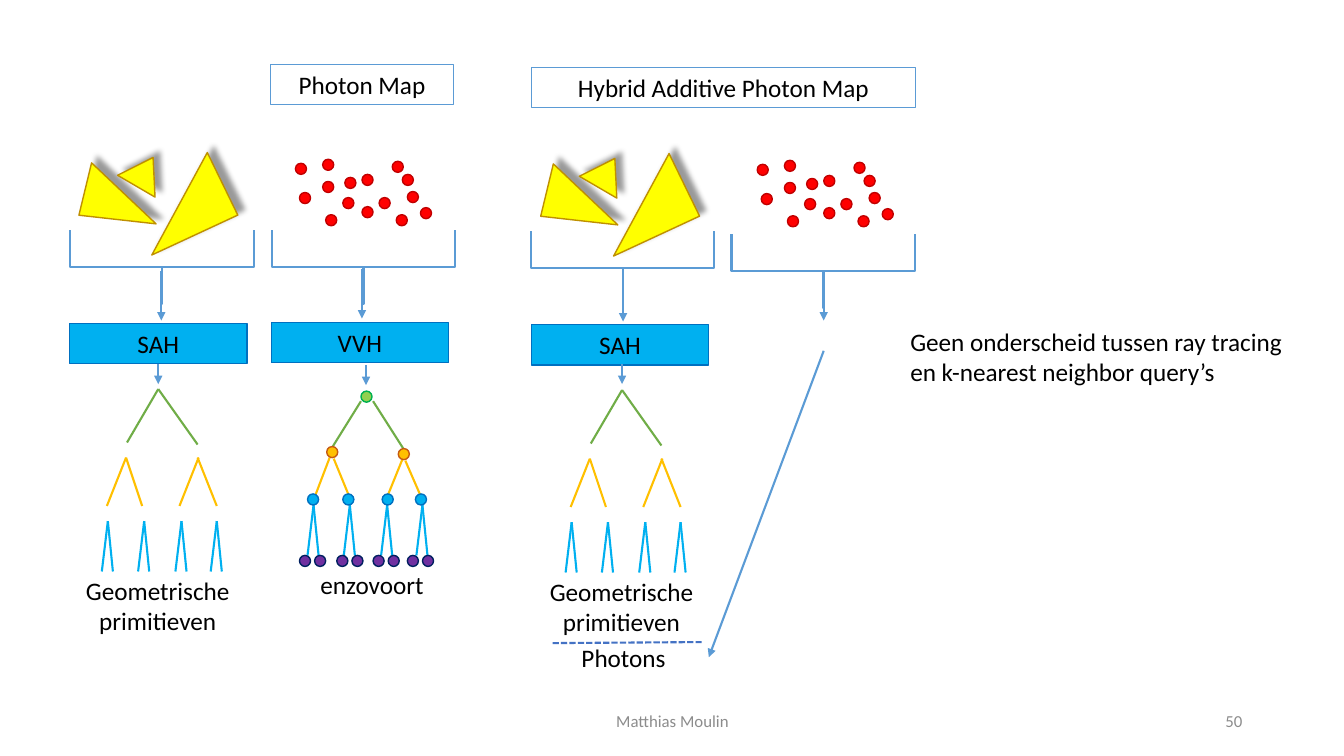
from dataclasses import dataclass
from typing import Iterable, NamedTuple

from lxml.etree import SubElement
from pptx import Presentation
from pptx.dml.color import RGBColor as Rgb
from pptx.enum.dml import MSO_LINE_DASH_STYLE as Dash
from pptx.enum.shapes import MSO_CONNECTOR as Connector, MSO_SHAPE as Preset
from pptx.enum.text import MSO_ANCHOR as Anchor, MSO_AUTO_SIZE as AutoSize, PP_ALIGN as Align
from pptx.oxml.ns import qn
from pptx.util import Emu, Pt

PX = 9144  # EMU per px, 100 px to the inch
FONT = "Calibri"
COLORS = {
    "black": "000000", "white": "FFFFFF", "grey": "8C8C8C",
    "blue": "5B9BD5", "dash": "4472C4", "sky": "00B0F0", "deep": "0070C0",
    "yellow": "FFFF00", "ochre": "BF9000", "red": "FF0000", "crimson": "C00000",
    "lime": "92D050", "emerald": "00B050", "green": "70AD47",
    "gold": "FFC000", "rust": "C55A11", "purple": "7030A0", "navy": "002060",
}
DOT = 11
HYBRID_DX, HYBRID_DY = 458, 1
HYBRID_TREE_DX = 460


class Box(NamedTuple):
    x: int
    y: int
    w: int
    h: int

    def moved(self, dx: int, dy: int) -> "Box":
        return Box(self.x + dx, self.y + dy, self.w, self.h)


class Edge(NamedTuple):
    x1: int
    y1: int
    x2: int
    y2: int

    def moved(self, dx: int, dy: int) -> "Edge":
        return Edge(self.x1 + dx, self.y1 + dy, self.x2 + dx, self.y2 + dy)


@dataclass(frozen=True)
class Primitive:
    box: Box
    rotation: float
    apex: float


@dataclass(frozen=True)
class NodeRow:
    fill: str
    line: str
    y: int
    lefts: tuple[int, ...]


PRIMITIVES = (
    Primitive(Box(81, 165, 77, 53), 6.4, 0.087),
    Primitive(Box(144, 156, 69, 94), 244, 0.026),
    Primitive(Box(122, 154, 43, 33), 30.2, 0.5),
)
PHOTONS = (
    (320, 180), (342, 176), (359, 173), (359, 205), (376, 196),
    (297, 191), (393, 213), (389, 160), (323, 213), (417, 206),
    (293, 162), (399, 173), (320, 158), (404, 190), (340, 196),
)
LEAF_TOPS = (107, 143, 180, 215)
SAH_ROOT = (Edge(157, 386, 126, 439), Edge(157, 386, 196, 441))
SAH_BRANCHES = (
    Edge(125, 454, 106, 502), Edge(125, 454, 141, 502),
    Edge(197, 454, 178, 502), Edge(196, 454, 215, 502),
)
VVH_ROOT = (Edge(358, 398, 330, 443), Edge(370, 398, 400, 445))
VVH_BRANCHES = (
    Edge(327, 454, 311, 496), Edge(331, 455, 347, 494),
    Edge(399, 456, 382, 498), Edge(402, 457, 419, 496),
)
VVH_NODES = (
    NodeRow("lime", "emerald", 388, (358,)),
    NodeRow("gold", "rust", 443, (324,)),
    NodeRow("gold", "rust", 445, (395,)),
    NodeRow("sky", "deep", 490, (305, 340, 379, 412)),
    NodeRow("purple", "navy", 551, (297, 312, 334, 349, 370, 385, 404, 419)),
)
BRACES = (Box(124, 174, 73, 182), Box(324, 174, 73, 182),
          Box(581, 175, 73, 182), Box(780, 178, 73, 182))
ARROWS = (
    Edge(160, 269, 160, 318), Edge(359, 267, 359, 316),
    Edge(618, 270, 618, 319), Edge(817, 269, 817, 318),
    Edge(157, 361, 157, 381), Edge(363, 362, 363, 382),
    Edge(617, 361, 617, 381), Edge(817, 348, 703, 652),
)

deck = Presentation()
deck.slide_width, deck.slide_height = Emu(1333 * PX), Emu(750 * PX)
page = deck.slides.add_slide(deck.slide_layouts[6])


def color(name: str) -> Rgb:
    return Rgb.from_string(COLORS[name])


def add_preset(preset: Preset, box: Box, line: str, fill: str | None = None, width: float = 1):
    shape = page.shapes.add_shape(preset, *(Emu(n * PX) for n in box))
    if fill:
        shape.fill.solid()
        shape.fill.fore_color.rgb = color(fill)
    else:
        shape.fill.background()
    shape.line.color.rgb = color(line)
    shape.line.width = Pt(width)
    shape.shadow.inherit = False
    return shape


def add_text(text: str, box: Box, *, fill: str | None = None, line: str | None = None,
             size: int = 18, ink: str = "black", align: Align = Align.CENTER,
             anchor: Anchor = Anchor.TOP, grow: bool = True) -> None:
    if line:
        shape = add_preset(Preset.RECTANGLE, box, line, fill)
    else:
        shape = page.shapes.add_textbox(*(Emu(n * PX) for n in box))
    frame = shape.text_frame
    frame.word_wrap = True
    frame.auto_size = AutoSize.SHAPE_TO_FIT_TEXT if grow else AutoSize.NONE
    frame.vertical_anchor = anchor
    para = frame.paragraphs[0]
    para.alignment = align
    span = para.add_run()
    span.text = text
    span.font.name, span.font.size = FONT, Pt(size)
    span.font.color.rgb = color(ink)


def add_line(edge: Edge, ink: str, arrow: bool = False, dash: Dash | None = None) -> None:
    link = page.shapes.add_connector(Connector.STRAIGHT, *(Emu(n * PX) for n in edge))
    link.line.color.rgb = color(ink)
    link.line.width = Pt(1.5)
    if dash:
        link.line.dash_style = dash
    props = link.element.spPr
    if arrow:
        SubElement(props.find(qn("a:ln")), qn("a:tailEnd"), type="triangle")
    SubElement(props, qn("a:effectLst"))


def add_lines(edges: Iterable[Edge], ink: str, dx: int = 0, dy: int = 0) -> None:
    for edge in edges:
        add_line(edge.moved(dx, dy), ink)


def add_leaves(dx: int, dy: int) -> None:
    for top in LEAF_TOPS:
        fan = (Edge(top, 517, top - 6, 567), Edge(top, 517, top + 5, 567))
        add_lines(fan, "sky", dx, dy)


def add_primitive(item: Primitive, dx: int, dy: int) -> None:
    shape = add_preset(Preset.ISOSCELES_TRIANGLE, item.box.moved(dx, dy), "ochre", "yellow")
    shape.rotation = item.rotation
    shape.adjustments[0] = item.apex
    effects = shape.element.spPr.find(qn("a:effectLst"))
    shadow = SubElement(effects, qn("a:outerShdw"), blurRad=str(Pt(4)), dist=str(Pt(6)),
                        dir=str(315 * 60000), algn="bl", rotWithShape="0")
    tint = SubElement(shadow, qn("a:srgbClr"), val=COLORS["black"])
    SubElement(tint, qn("a:alpha"), val="40000")


# Scenes: primitives and photons, then the tree over the primitives
for dx, dy, tree_dx in ((0, 0, 0), (HYBRID_DX, HYBRID_DY, HYBRID_TREE_DX)):
    for item in PRIMITIVES:
        add_primitive(item, dx, dy)
    for x, y in PHOTONS:
        add_preset(Preset.OVAL, Box(x + dx, y + dy, DOT, DOT), "crimson", "red")
    add_text("SAH", Box(69 + dx, 321 + dy, 176, 40), fill="sky", line="deep")
    add_lines(SAH_ROOT, "green", tree_dx, dy)
    add_lines(SAH_BRANCHES, "gold", tree_dx, dy)
    add_leaves(tree_dx, dy)
    add_text("Geometrische primitieven", Box(40 + tree_dx, 566 + dy, 233, 71))

# Photon tree
add_text("VVH", Box(269, 320, 176, 40), fill="sky", line="deep")
add_lines(VVH_ROOT, "green")
add_lines(VVH_BRANCHES, "gold")
add_leaves(204, -16)
for row in VVH_NODES:
    for left in row.lefts:
        add_preset(Preset.OVAL, Box(left, row.y, DOT, DOT), row.line, row.fill)
add_text("enzovoort", Box(302, 560, 134, 40))

# Brackets and arrows
for box in BRACES:
    brace = add_preset(Preset.LEFT_BRACE, box, "blue", width=1.5)
    brace.rotation = 270
    brace.adjustments[0] = 0
for edge in ARROWS:
    add_line(edge, "blue", arrow=True)

# Photons under the hybrid tree
add_text("Photons", Box(502, 632, 233, 40))
add_line(Edge(548, 638, 696, 637), "dash", dash=Dash.SQUARE_DOT)

# Headings and remark
add_text("Photon Map", Box(268, 64, 182, 40), fill="white", line="blue")
add_text("Hybrid Additive Photon Map", Box(527, 67, 381, 40), fill="white", line="blue")
add_text("Geen onderscheid tussen ray tracing en k-nearest neighbor query’s",
         Box(893, 319, 395, 71), align=Align.LEFT)

# Footer
add_text("Matthias Moulin", Box(442, 695, 450, 40), size=12, ink="grey",
         anchor=Anchor.MIDDLE, grow=False)
add_text("50", Box(942, 695, 300, 40), size=12, ink="grey", align=Align.RIGHT,
         anchor=Anchor.MIDDLE, grow=False)

deck.save("out.pptx")
